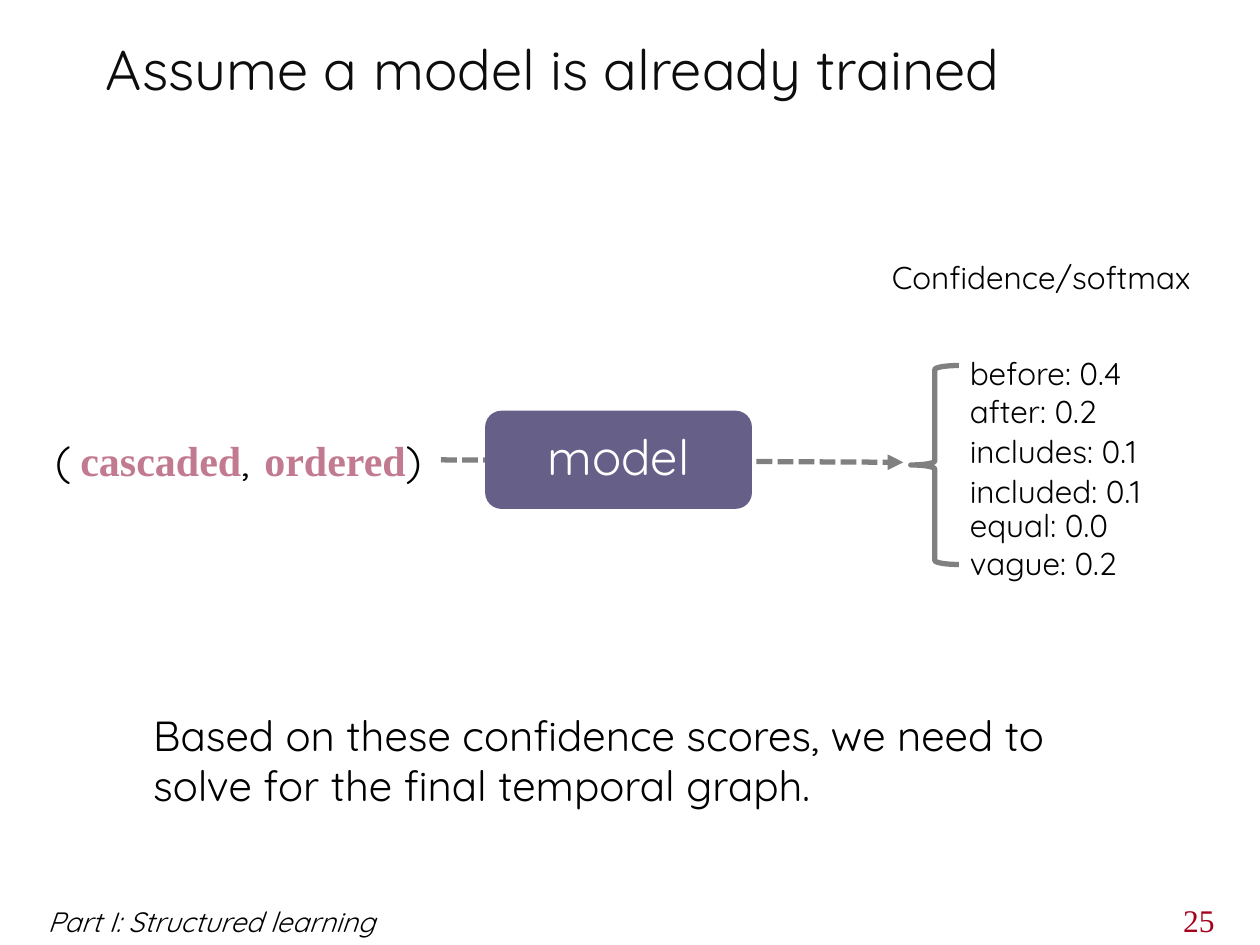
from dataclasses import dataclass

from pptx import Presentation
from pptx.dml.color import RGBColor
from pptx.enum.dml import MSO_LINE_DASH_STYLE as Dash
from pptx.enum.shapes import MSO_CONNECTOR as Connector, MSO_SHAPE as Preset
from pptx.enum.text import MSO_ANCHOR as Anchor, PP_ALIGN as Align
from pptx.oxml.ns import qn
from pptx.slide import Slide
from pptx.text.text import TextFrame
from pptx.util import Cm, Pt
from lxml.etree import SubElement


@dataclass(frozen=True)
class Theme:
    """Colours, fonts and type sizes of the slide."""

    ink: str = "000000"
    heading: str = "0D0D0D"
    event: str = "C17A90"
    box: str = "666089"
    stroke: str = "808080"
    number: str = "A7001B"
    light: str = "FFFFFF"
    sans: str = "Quicksand"
    serif: str = "Times New Roman"
    title: int = 32
    model: int = 28
    body: int = 24
    label: int = 18
    footer: int = 16
    line: int = 3


@dataclass(frozen=True)
class Area:
    """A rectangle in centimetres."""

    left: float
    top: float
    width: float
    height: float

    def lengths(self) -> tuple:
        """Return the four sides as lengths."""
        return Cm(self.left), Cm(self.top), Cm(self.width), Cm(self.height)


@dataclass(frozen=True)
class Score:
    """A relation, its confidence and the top of its label."""

    relation: str
    confidence: float
    top: float


THEME = Theme()
SCORES = (
    Score("before", 0.4, 7.01),
    Score("after", 0.2, 7.77),
    Score("includes", 0.1, 8.59),
    Score("included", 0.1, 9.4),
    Score("equal", 0.0, 10.08),
    Score("vague", 0.2, 10.85),
)


def write(frame: TextFrame, text: str, *, size: int = THEME.body, color: str = THEME.ink,
          font: str = THEME.sans, bold: bool = False, italic: bool = False,
          align: Align = Align.LEFT) -> None:
    """Append a formatted run to the first paragraph of a frame."""
    frame.word_wrap = True
    paragraph = frame.paragraphs[0]
    paragraph.alignment = align
    run = paragraph.add_run()
    run.text = text
    run.font.size = Pt(size)
    run.font.name = font
    run.font.bold = bold
    run.font.italic = italic
    run.font.color.rgb = RGBColor.from_string(color)


def add_text(slide: Slide, area: Area, text: str, **style) -> None:
    """Add a text box holding one formatted run."""
    write(slide.shapes.add_textbox(*area.lengths()).text_frame, text, **style)


def add_title(slide: Slide, area: Area, text: str) -> None:
    """Place and fill the title placeholder."""
    title = slide.shapes.title
    title.left, title.top, title.width, title.height = area.lengths()
    title.text_frame.vertical_anchor = Anchor.MIDDLE
    write(title.text_frame, text, size=THEME.title, color=THEME.heading)


def add_event_pair(slide: Slide, area: Area, first: str, second: str) -> None:
    """Add a bracketed pair of events aligned on two tab stops."""
    frame = slide.shapes.add_textbox(*area.lengths()).text_frame
    stops = SubElement(frame.paragraphs[0]._p.get_or_add_pPr(), qn("a:tabLst"))
    for position in (0.51, 4.22):
        SubElement(stops, qn("a:tab"), pos=str(Cm(position)), algn="l")
    event = dict(font=THEME.serif, color=THEME.event, bold=True)
    for text, style in (("(\t", {}), (first, event), (",\t", {}), (second, event), (")", {})):
        write(frame, text, **style)


def add_flow_arrow(slide: Slide, start: tuple[float, float], end: tuple[float, float]) -> None:
    """Add a dashed arrow between two points."""
    arrow = slide.shapes.add_connector(Connector.STRAIGHT, *map(Cm, start + end))
    arrow.line.color.rgb = RGBColor.from_string(THEME.stroke)
    arrow.line.width = Pt(THEME.line)
    arrow.line.dash_style = Dash.SQUARE_DOT
    SubElement(arrow.line._get_or_add_ln(), qn("a:tailEnd"), type="triangle")
    SubElement(arrow._element.spPr, qn("a:effectLst"))


def add_model(slide: Slide, area: Area, text: str) -> None:
    """Add the rounded model box with its name."""
    model = slide.shapes.add_shape(Preset.ROUNDED_RECTANGLE, *area.lengths())
    model.shadow.inherit = False
    model.fill.solid()
    model.fill.fore_color.rgb = RGBColor.from_string(THEME.box)
    model.line.fill.background()
    model.text_frame.vertical_anchor = Anchor.MIDDLE
    model.text_frame.margin_bottom = Cm(0.3)
    write(model.text_frame, text, size=THEME.model, color=THEME.light, align=Align.CENTER)


def add_brace(slide: Slide, area: Area) -> None:
    """Add the brace that gathers the scores."""
    brace = slide.shapes.add_shape(Preset.LEFT_BRACE, *area.lengths())
    brace.shadow.inherit = False
    brace.fill.background()
    brace.line.color.rgb = RGBColor.from_string(THEME.stroke)
    brace.line.width = Pt(THEME.line)


def main() -> None:
    """Build and save the slide."""
    deck = Presentation()
    deck.slide_width, deck.slide_height = Cm(25.4), Cm(19.05)
    slide = deck.slides.add_slide(deck.slide_layouts[5])

    add_title(slide, Area(1.88, 0.64, 21.59, 1.47), "Assume a model is already trained")
    add_flow_arrow(slide, (8.89, 9.27), (18.21, 9.32))
    add_event_pair(slide, Area(0.86, 8.64, 8, 1.27), "cascaded", "ordered")
    add_model(slide, Area(9.78, 8.28, 5.38, 1.98), "model")
    add_brace(slide, Area(18.36, 7.37, 0.97, 4.01))
    for score in SCORES:
        add_text(slide, Area(19.3, score.top, 4.9, 1.02),
                 f"{score.relation}: {score.confidence:.1f}", size=THEME.label)
    add_text(slide, Area(17.73, 5.08, 7.2, 1.02), "Confidence/softmax", size=THEME.label)
    add_text(slide, Area(2.84, 14.17, 20.5, 2.31),
             "Based on these confidence scores, we need to solve for the final temporal graph.")
    add_text(slide, Area(0.71, 18.11, 8.89, 0.94), "Part I: Structured learning",
             size=THEME.footer, italic=True)
    add_text(slide, Area(23.6, 18.03, 1.24, 1.02), "25",
             size=THEME.label, font=THEME.serif, color=THEME.number)

    deck.save("out.pptx")


if __name__ == "__main__":
    main()
